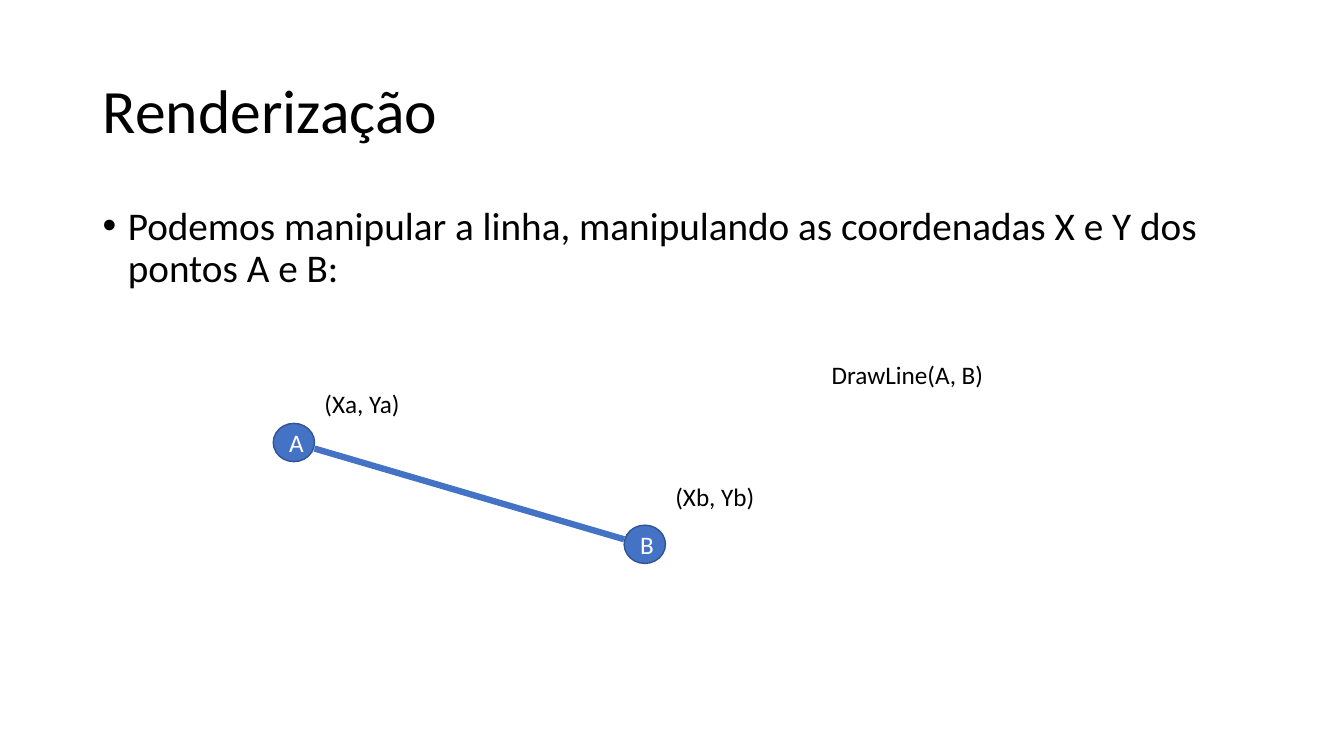
from lxml import etree
from pptx import Presentation
from pptx.dml.color import RGBColor
from pptx.enum import shapes, text
from pptx.oxml.ns import qn
from pptx.util import Inches, Pt

BLACK, WHITE, BLUE, NAVY = "000000", "FFFFFF", "4472C4", "325491"


def rgb(value):
    return RGBColor.from_string(value)


class SlideBuilder:
    font = "Calibri"

    def __init__(self, prs):
        self.s = prs.slides.add_slide(prs.slide_layouts[5])

    def set_text(self, sp, words, size=18, color=BLACK, frame=None, para=None, bullet=None):
        tf = sp.text_frame
        for name, value in (frame or {}).items():
            setattr(tf, name, value)
        p = tf.paragraphs[0]
        for name, value in (para or {}).items():
            setattr(p, name, value)
        if bullet:
            pPr = p._p.get_or_add_pPr()
            pPr.set("marL", str(Inches(0.25)))
            pPr.set("indent", str(Inches(-0.25)))
            etree.SubElement(pPr, qn("a:buFont")).set("typeface", "Arial")
            etree.SubElement(pPr, qn("a:buChar")).set("char", bullet)
        r = p.add_run()
        r.text = words
        for name, value in {"name": self.font, "size": Pt(size)}.items():
            setattr(r.font, name, value)
        r.font.color.rgb = rgb(color)

    def title(self, words, x, y, w, h):
        sp = self.s.shapes.title
        box = {"left": x, "top": y, "width": w, "height": h}
        for name, value in box.items():
            setattr(sp, name, Inches(value))
        self.set_text(sp, words, 44,
                      frame={"vertical_anchor": text.MSO_ANCHOR.MIDDLE, "word_wrap": True,
                             "auto_size": text.MSO_AUTO_SIZE.NONE},
                      para={"alignment": text.PP_ALIGN.LEFT, "line_spacing": 0.9})

    def text_box(self, words, x, y, w, h, wrap=True, **style):
        sp = self.s.shapes.add_textbox(*map(Inches, (x, y, w, h)))
        self.set_text(sp, words, frame={"word_wrap": wrap}, **style)

    def point(self, letter, x, y, w=0.41, h=0.38):
        sp = self.s.shapes.add_shape(shapes.MSO_SHAPE.OVAL, *map(Inches, (x, y, w, h)))
        sp.shadow.inherit = False
        sp.fill.solid()
        sp.fill.fore_color.rgb = rgb(BLUE)
        sp.line.color.rgb = rgb(NAVY)
        sp.line.width = Pt(1)
        self.set_text(sp, letter, color=WHITE,
                      frame={"vertical_anchor": text.MSO_ANCHOR.MIDDLE},
                      para={"alignment": text.PP_ALIGN.CENTER})

    def line(self, x1, y1, x2, y2):
        sp = self.s.shapes.add_connector(
            shapes.MSO_CONNECTOR.STRAIGHT, *map(Inches, (x1, y1, x2, y2)))
        sp.line.color.rgb = rgb(BLUE)
        sp.line.width = Pt(4.5)
        etree.SubElement(sp._element.spPr, qn("a:effectLst"))


def main():
    prs = Presentation()
    prs.slide_width, prs.slide_height = Inches(13.33), Inches(7.5)
    slide = SlideBuilder(prs)
    slide.title("Renderização", 0.92, 0.4, 11.5, 1.45)
    slide.text_box(
        "Podemos manipular a linha, manipulando as coordenadas X e Y dos pontos A e B:",
        0.92, 2, 11.5, 4.76, size=28, para={"line_spacing": 0.9}, bullet="•")
    slide.point("A", 2.71, 4.2)
    slide.point("B", 6.19, 5.21)
    slide.text_box("DrawLine(A, B)", 8.15, 3.52, 2.15, 0.4)
    slide.text_box("(Xa, Ya)", 3.12, 3.8, 0.96, 0.4, wrap=False)
    slide.text_box("(Xb, Yb)", 6.6, 4.73, 1, 0.4, wrap=False)
    slide.line(3.12, 4.45, 6.19, 5.35)
    prs.save("out.pptx")


if __name__ == "__main__":
    main()
